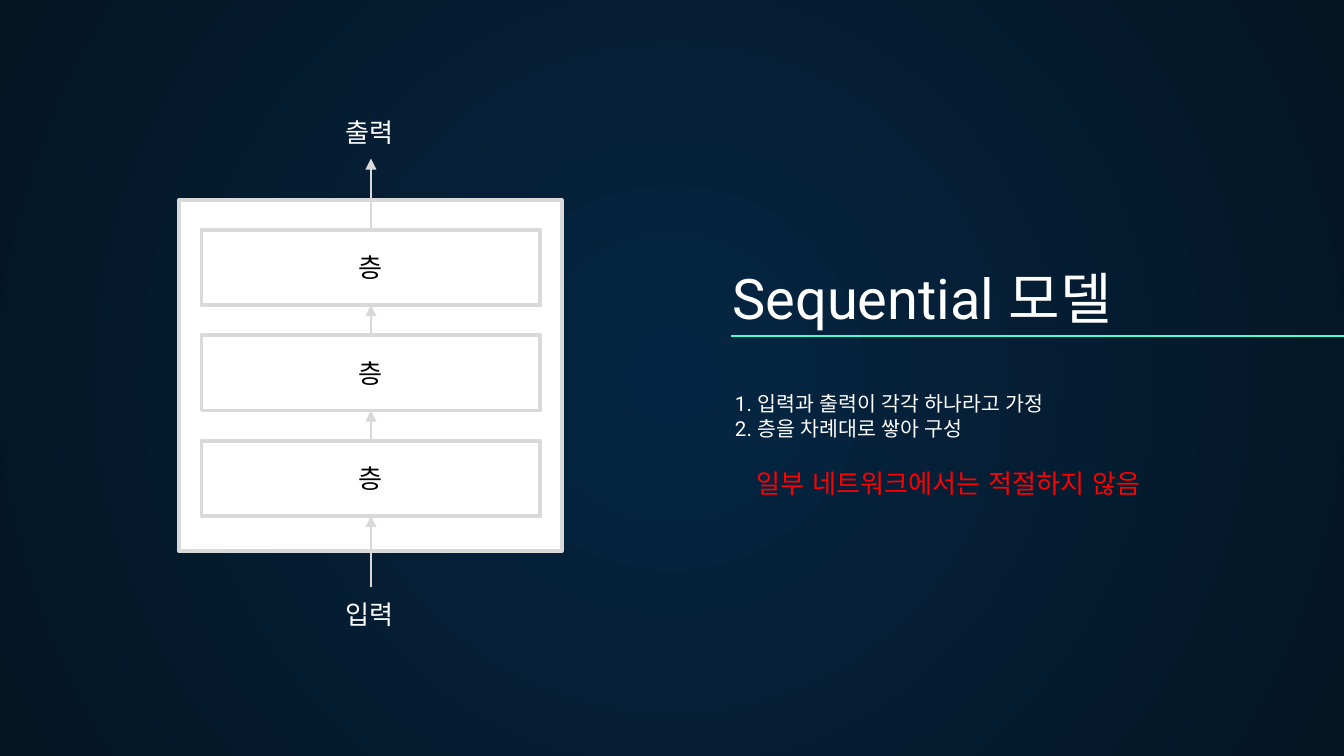
from lxml.etree import SubElement
from pptx import Presentation
from pptx.dml.color import RGBColor
from pptx.enum.shapes import MSO_CONNECTOR, MSO_SHAPE
from pptx.enum.text import MSO_ANCHOR, MSO_AUTO_SIZE, PP_ALIGN
from pptx.oxml.ns import qn
from pptx.util import Inches, Pt

WHITE, GREY, BLACK, RED, MINT = "FFFFFF", "D9D9D9", "000000", "FF0000", "48FFD5"
TOP, LEFT, BOTTOM, RIGHT = range(4)


def color(hex_value):
    return RGBColor.from_string(hex_value)


def set_background(slide, center, edge):
    """Radial gradient from the middle of the slide."""
    fill = slide.background.fill
    fill.gradient()
    for stop, (position, shade) in zip(fill.gradient_stops, ((0, center), (1, edge))):
        stop.position = position
        stop.color.rgb = color(shade)
    gradient = slide.element.find(".//" + qn("a:gradFill"))
    gradient.remove(gradient.find(qn("a:lin")))
    circle = SubElement(gradient, qn("a:path"), path="circle")
    SubElement(circle, qn("a:fillToRect"), l="50000", t="50000", r="50000", b="50000")


def write(shape, lines, size, font, shade, align=PP_ALIGN.LEFT, **frame_format):
    frame = shape.text_frame
    settings = {"word_wrap": True, "auto_size": MSO_AUTO_SIZE.NONE, **frame_format}
    for name, value in settings.items():
        setattr(frame, name, value)
    frame.text = "\n".join(lines)
    for paragraph in frame.paragraphs:
        paragraph.alignment = align
        for name, value in {"size": Pt(size), "name": font}.items():
            setattr(paragraph.font, name, value)
        paragraph.font.color.rgb = color(shade)
        # The same typeface for the Korean characters
        defaults = paragraph._p.pPr.find(qn("a:defRPr"))
        SubElement(defaults, qn("a:ea"), typeface=font)


def add_text(slide, box, lines, size, font, shade, **frame_format):
    text_box = slide.shapes.add_textbox(*map(Inches, box))
    write(text_box, lines, size, font, shade, **frame_format)


def add_box(slide, box):
    rectangle = slide.shapes.add_shape(MSO_SHAPE.RECTANGLE, *map(Inches, box))
    rectangle.shadow.inherit = False
    rectangle.fill.solid()
    rectangle.fill.fore_color.rgb = color(WHITE)
    rectangle.line.color.rgb = color(GREY)
    rectangle.line.width = Pt(2)
    return rectangle


def add_line(slide, start, end, shade, arrow=False):
    line = slide.shapes.add_connector(
        MSO_CONNECTOR.STRAIGHT, *map(Inches, (*start, *end)))
    line.line.color.rgb = color(shade)
    line.line.width = Pt(0.75)
    if arrow:
        SubElement(line.line._get_or_add_ln(), qn("a:tailEnd"), type="triangle")
    SubElement(line.element.spPr, qn("a:effectLst"))
    return line


def add_model(slide):
    """Stack of layers with the data flowing upwards."""
    left, top, width, height = 1.5, 1.71, 2.52, 0.56
    step = (3.28 - top) / 2
    middle = left + width / 2
    add_box(slide, (1.33, 1.49, 2.85, 2.61))

    layers = []
    for row in range(3):
        layer = add_box(slide, (left, top + row * step, width, height))
        write(layer, ["층"], 14, "Arial", BLACK, PP_ALIGN.CENTER,
              vertical_anchor=MSO_ANCHOR.MIDDLE)
        layers.append(layer)

    # Arrows from the input, between the layers and to the output
    input_point, output_point = (middle, 4.37), (middle, 1.18)
    for upper, lower in zip([None, *layers], [*layers, None]):
        arrow = add_line(slide, input_point, output_point, GREY, arrow=True)
        if lower:
            arrow.begin_connect(lower, TOP)
        if upper:
            arrow.end_connect(upper, BOTTOM)

    for label, label_top in (("출력", 0.82), ("입력", 4.4)):
        add_text(slide, (2.47, label_top, 0.6, 0.34), [label], 14, "Arial", WHITE)


def add_explanation(slide):
    margins = {f"margin_{side}": Inches(0.1)
               for side in ("left", "top", "right", "bottom")}

    # Title and its underline, which bleeds off the right edge
    title = slide.shapes.title
    title.left, title.top, title.width, title.height = map(
        Inches, (5.35, 1.9, 3.86, 0.66))
    write(title, ["Sequential 모델"], 30, "Roboto", WHITE,
          vertical_anchor=MSO_ANCHOR.BOTTOM, **margins)
    add_line(slide, (5.44, 2.5), (10.3, 2.5), MINT)

    # Properties and the limitation
    add_text(slide, (5.37, 2.81, 3.78, 1.55),
             ["1. 입력과 출력이 각각 하나라고 가정", "2. 층을 차례대로 쌓아 구성"],
             11, "Roboto", WHITE, **margins)
    add_text(slide, (5.53, 3.43, 3.43, 0.34),
             ["일부 네트워크에서는 적절하지 않음"], 14, "Arial", RED)


def main():
    presentation = Presentation()
    presentation.slide_width = Inches(10)
    presentation.slide_height = Inches(10 * 9 / 16)
    slide = presentation.slides.add_slide(presentation.slide_layouts[5])
    set_background(slide, "052643", "041523")
    add_explanation(slide)
    add_model(slide)
    presentation.save("out.pptx")


if __name__ == "__main__":
    main()
